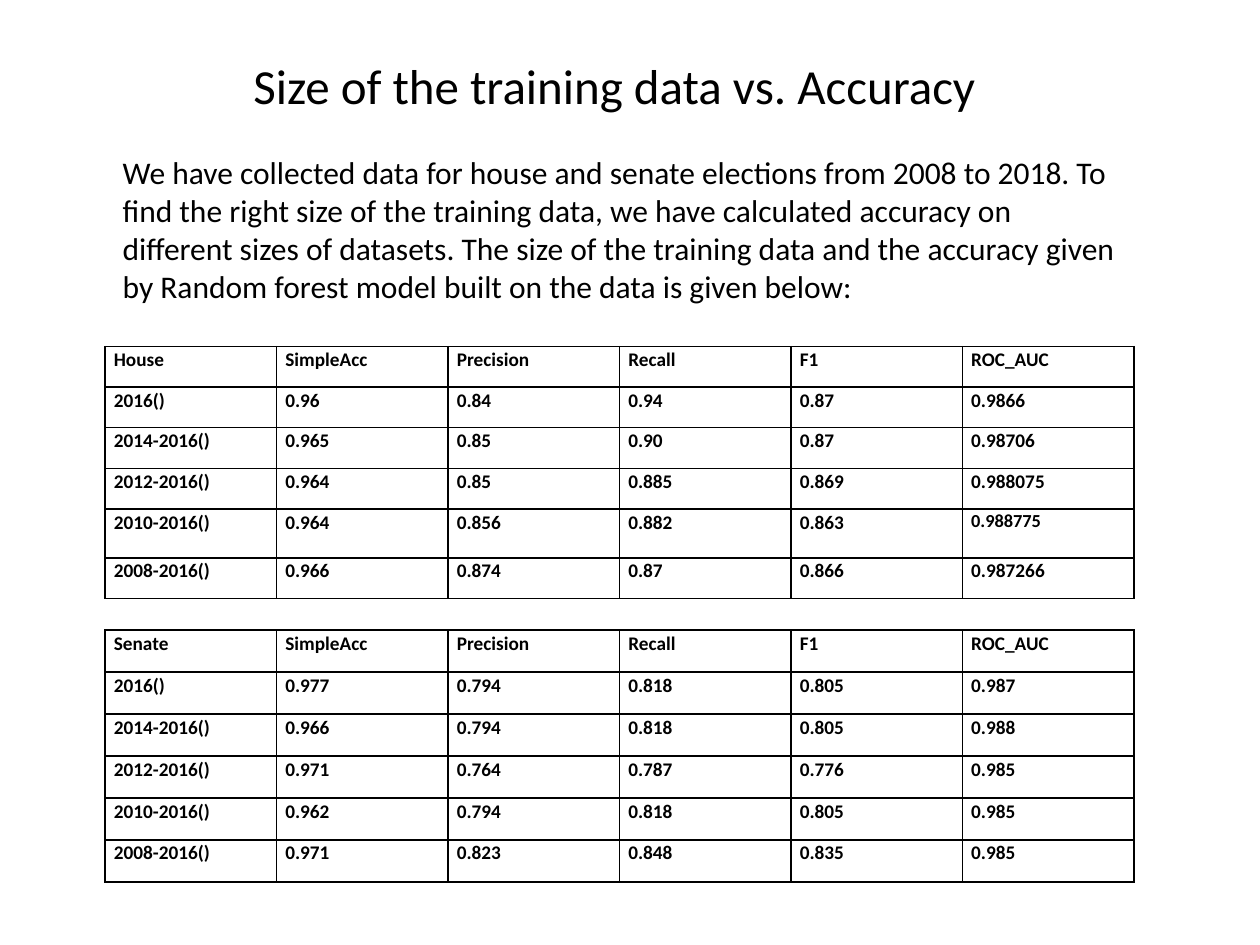
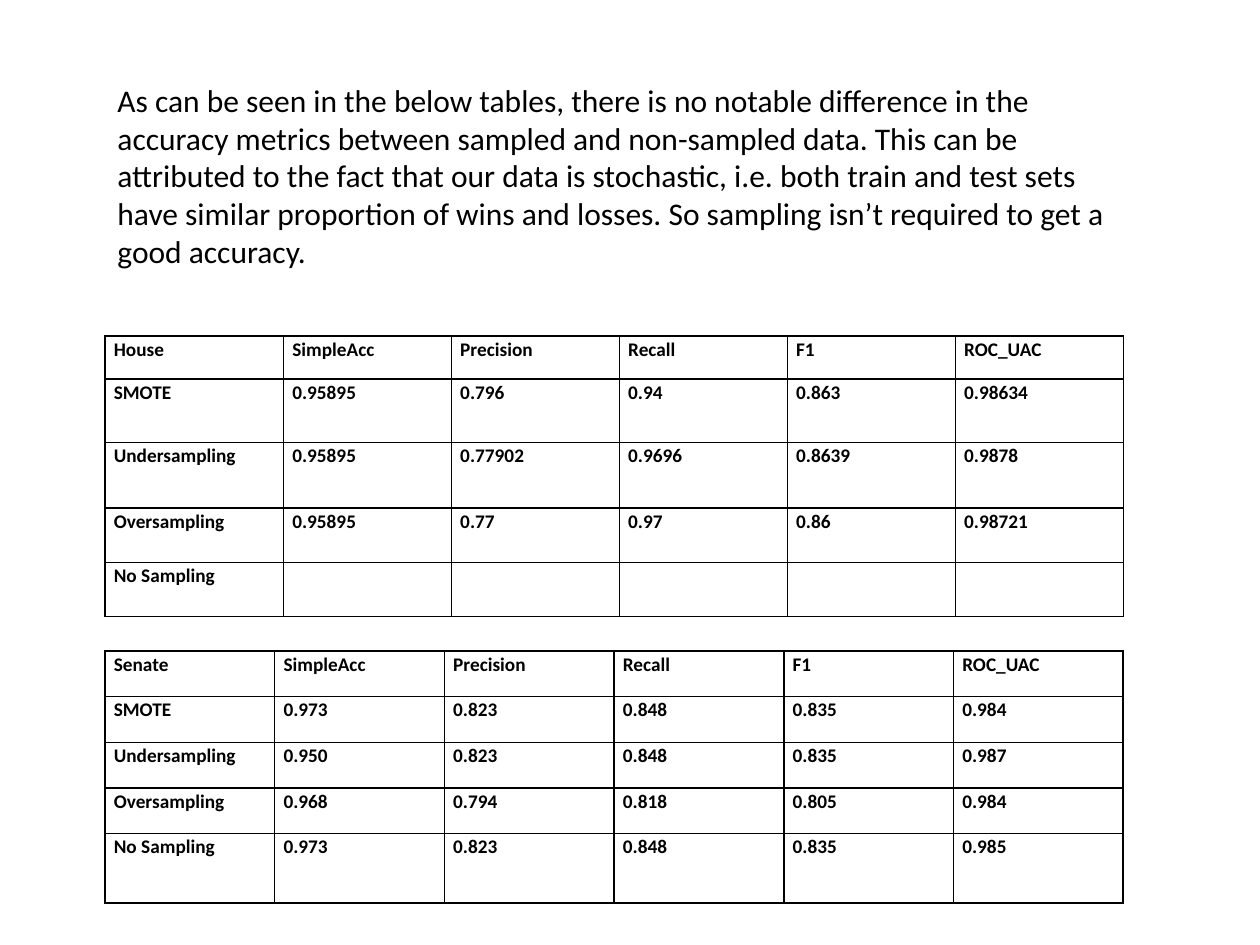
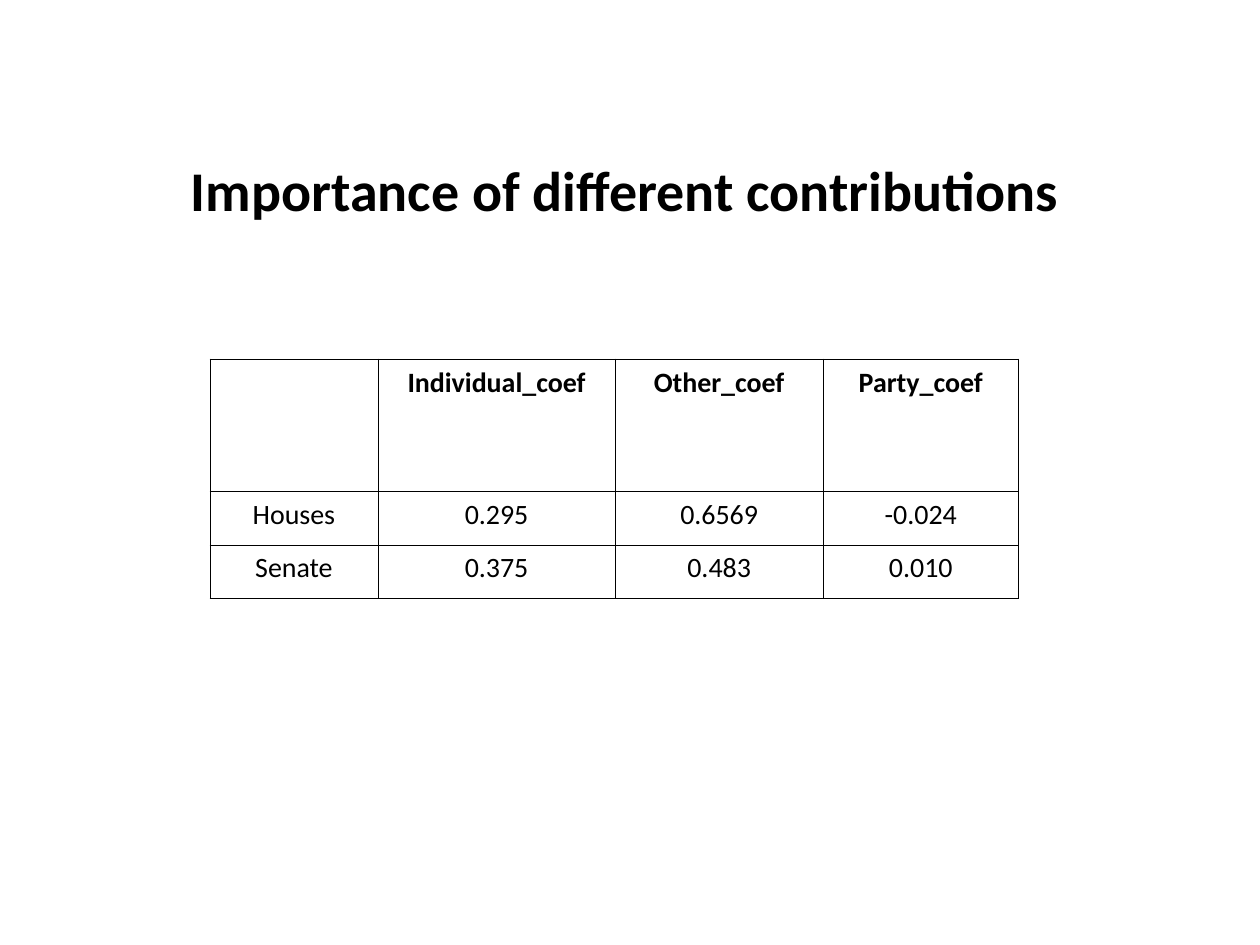
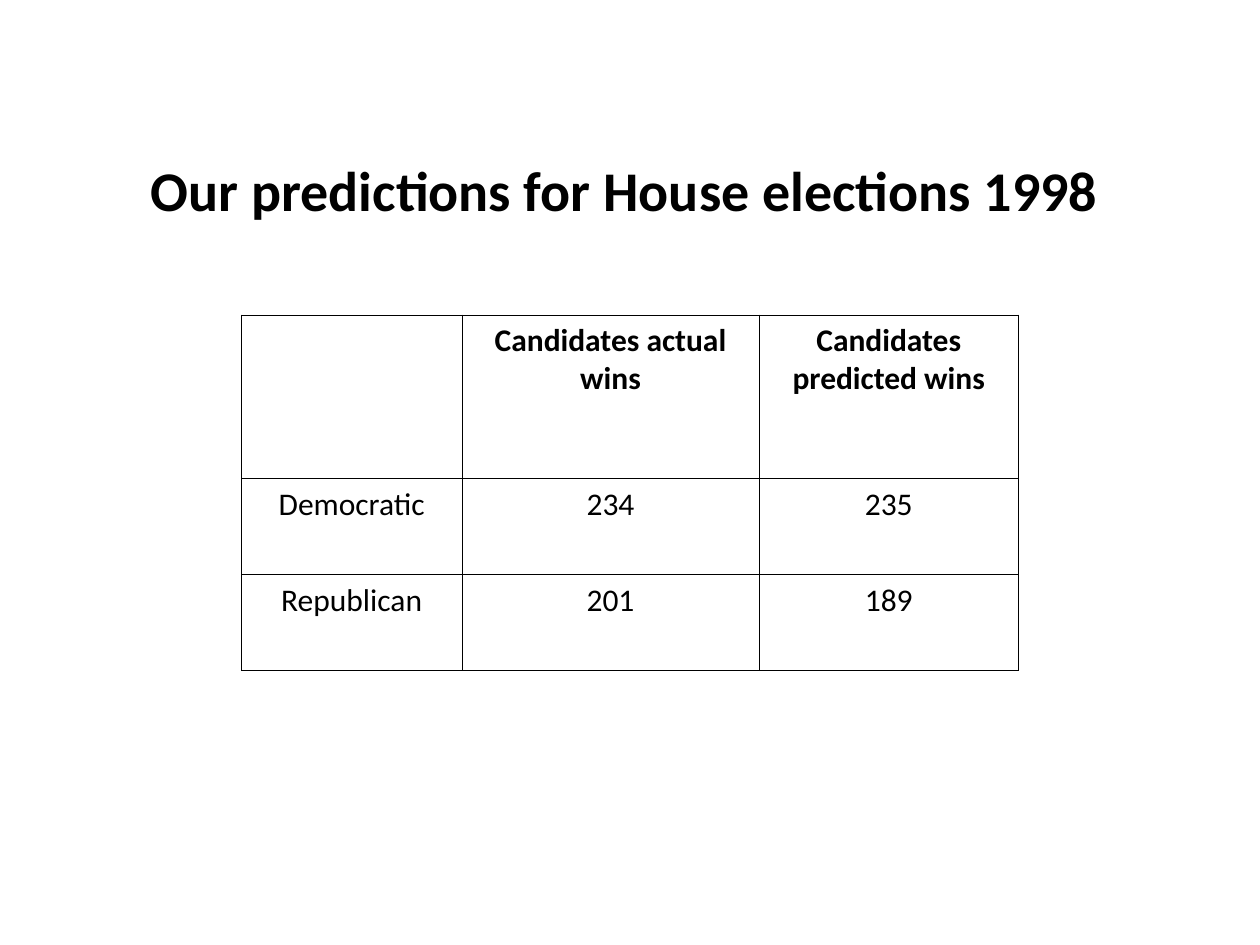
"""Election model results: four slides of text and tables."""
from dataclasses import dataclass

from lxml import etree
from pptx import Presentation
from pptx import util as u
from pptx.dml.color import RGBColor
from pptx.enum import text
from pptx.oxml import ns


@dataclass(frozen=True)
class Theme:
    """Colours, type sizes and the slide grid."""
    font: str = "Calibri"
    ink: str = "000000"
    title: float = 28
    headline: float = 32
    body: float = 18
    coefficient: float = 16
    metric: float = 11
    small_metric: float = 10.5
    width: float = 10
    height: float = 7.5
    columns: int = 120
    rows: int = 90


THEME = Theme()
METRIC_PARA = {"line_spacing": 1.07, "space_after": u.Pt(8)}
METRIC_CELL = {"margin_left": u.Inches(0.07), "margin_right": u.Inches(0.07),
               "margin_top": 0, "margin_bottom": 0}
CENTRED_PARA = {"alignment": text.PP_ALIGN.CENTER}
CENTRED_CELL = {**METRIC_CELL, "margin_top": u.Inches(0.05), "margin_bottom": u.Inches(0.05)}


def apply(target, values):
    """Set each named attribute of the target."""
    for name, value in values.items():
        setattr(target, name, value)


def split_rows(block):
    """Split a block of comma-separated lines into rows of cells."""
    return [line.strip().split(",") for line in block.strip().splitlines()]


class Deck:
    """Holds the theme and the current slide, and draws elements on it."""

    def __init__(self, theme):
        """Start an empty presentation of the theme's size."""
        self.theme = theme
        self.deck = Presentation()
        self.deck.slide_width = u.Inches(theme.width)
        self.deck.slide_height = u.Inches(theme.height)
        self.slide = None

    def across(self, columns):
        """Turn grid columns into a length."""
        return u.Inches(columns * self.theme.width / self.theme.columns)

    def down(self, rows):
        """Turn grid rows into a length."""
        return u.Inches(rows * self.theme.height / self.theme.rows)

    def area(self, left, top, width, height):
        """Turn a grid area into left, top, width and height."""
        return self.across(left), self.down(top), self.across(width), self.down(height)

    def page(self, layout):
        """Add a slide with the named layout."""
        self.slide = self.deck.slides.add_slide(self.deck.slide_layouts.get_by_name(layout))

    def put_text(self, frame, words, size, bold=False, para_format=None):
        """Put one formatted paragraph into a text frame."""
        para = frame.paragraphs[0]
        apply(para, para_format or {})
        span = para.add_run()
        span.text = words
        apply(span.font, {"name": self.theme.font, "size": u.Pt(size), "bold": bold})
        span.font.color.rgb = RGBColor.from_string(self.theme.ink)

    def title(self, words, area, size, bold=False, wrap=True):
        """Move and fill the title placeholder."""
        box = self.slide.shapes.title
        apply(box, dict(zip(("left", "top", "width", "height"), self.area(*area))))
        apply(box.text_frame, {"word_wrap": wrap, "vertical_anchor": text.MSO_ANCHOR.TOP,
                               "auto_size": text.MSO_AUTO_SIZE.SHAPE_TO_FIT_TEXT})
        self.put_text(box.text_frame, words, size, bold, CENTRED_PARA)

    def headline(self, words, left, width):
        """Fill the title as a large bold line."""
        self.title(words, (left, 14.2, width, 7.7), self.theme.headline, True, False)

    def body(self, words, area, anchor=text.MSO_ANCHOR.TOP):
        """Add a wrapped paragraph of body text."""
        frame = self.slide.shapes.add_textbox(*self.area(*area)).text_frame
        apply(frame, {"word_wrap": True, "vertical_anchor": anchor,
                      "auto_size": text.MSO_AUTO_SIZE.SHAPE_TO_FIT_TEXT})
        self.put_text(frame, words, self.theme.body)

    def border(self, cell, points):
        """Draw all four borders of a cell."""
        properties = cell._tc.get_or_add_tcPr()
        for side in ("lnL", "lnR", "lnT", "lnB"):
            line = etree.SubElement(properties, ns.qn(f"a:{side}"), w=str(u.Pt(points)))
            fill = etree.SubElement(line, ns.qn("a:solidFill"))
            etree.SubElement(fill, ns.qn("a:srgbClr"), val=self.theme.ink)

    def table(self, rows, left, top, widths, heights, size, line, cell_format, para_format,
              bold_body):
        """Add a ruled table with a bold first row and return it."""
        area = self.area(left, top, sum(widths), sum(heights))
        table = self.slide.shapes.add_table(len(rows), len(widths), *area).table
        apply(table, {"first_row": False, "horz_banding": False})
        for column, width in zip(table.columns, widths):
            column.width = self.across(width)
        for row, height in zip(table.rows, heights):
            row.height = self.down(height)
        for y, values in enumerate(rows):
            for x, words in enumerate(values):
                cell = table.cell(y, x)
                apply(cell, cell_format)
                self.border(cell, line)
                cell.fill.background()
                if words:
                    self.put_text(cell.text_frame, words, size, bold_body or y == 0, para_format)
        return table

    def metrics(self, block, top, widths, heights):
        """Add a table of bold, left-aligned accuracy metrics."""
        return self.table(split_rows(block), 10, top, widths, heights, self.theme.metric, 1,
                          METRIC_CELL, METRIC_PARA, True)

    def summary(self, block, left, top, widths, heights, size):
        """Add a centred table with plain body rows."""
        return self.table(split_rows(block), left, top, widths, heights, size, 0.5,
                          CENTRED_CELL, CENTRED_PARA, False)


HOUSE_BY_YEARS = """
House,SimpleAcc,Precision,Recall,F1,ROC_AUC
2016(),0.96,0.84,0.94,0.87,0.9866
2014-2016(),0.965,0.85,0.90,0.87,0.98706
2012-2016(),0.964,0.85,0.885,0.869,0.988075
2010-2016(),0.964,0.856,0.882,0.863,
2008-2016(),0.966,0.874,0.87,0.866,0.987266
"""
SENATE_BY_YEARS = """
Senate,SimpleAcc,Precision,Recall,F1,ROC_AUC
2016(),0.977,0.794,0.818,0.805,0.987
2014-2016(),0.966,0.794,0.818,0.805,0.988
2012-2016(),0.971,0.764,0.787,0.776,0.985
2010-2016(),0.962,0.794,0.818,0.805,0.985
2008-2016(),0.971,0.823,0.848,0.835,0.985
"""
HOUSE_BY_SAMPLING = """
House,SimpleAcc,Precision,Recall,F1,ROC_UAC
SMOTE,0.95895,0.796,0.94,0.863,0.98634
Undersampling,0.95895,0.77902,0.9696,0.8639,0.9878
Oversampling,0.95895,0.77,0.97,0.86,0.98721
No Sampling,,,,,
"""
SENATE_BY_SAMPLING = """
Senate,SimpleAcc,Precision,Recall,F1,ROC_UAC
SMOTE,0.973,0.823,0.848,0.835,0.984
Undersampling,0.950,0.823,0.848,0.835,0.987
Oversampling,0.968,0.794,0.818,0.805,0.984
No Sampling,0.973,0.823,0.848,0.835,0.985
"""
COEFFICIENTS = """
,Individual_coef,Other_coef,Party_coef
Houses,0.295,0.6569,-0.024
Senate,0.375,0.483,0.010
"""
PREDICTIONS = """
,Candidates actual wins,Candidates predicted wins
Democratic,234,235
Republican,201,189
"""


def training_size(deck):
    """Compare accuracy across training periods."""
    deck.page("Title Only")
    deck.title("Size of the training data vs. Accuracy", (21, 4.7, 75, 6.9), THEME.title)
    deck.body("We have collected data for house and senate elections from 2008 to 2018. To find "
              "the right size of the training data, we have calculated accuracy on different "
              "sizes of datasets. The size of the training data and the accuracy given by Random "
              "forest model built on the data is given below:", (10.5, 14, 98, 15.75))
    widths = [98 / 6] * 6
    house = deck.metrics(HOUSE_BY_YEARS, 33, widths, [3.87] * 4 + [4.65, 3.87])
    deck.put_text(house.cell(4, 5).text_frame, "0.988775", THEME.small_metric, True,
                  {"line_spacing": 1.07})
    deck.metrics(SENATE_BY_YEARS, 60, widths, [4] * 6)


def sampling(deck):
    """Compare accuracy across sampling methods."""
    deck.page("Blank")
    deck.body("As can be seen in the below tables, there is no notable difference in the accuracy "
              "metrics between sampled and non-sampled data. This can be attributed to the fact "
              "that our data is stochastic, i.e. both train and test sets have similar proportion "
              "of wins and losses. So sampling isn’t required to get a good accuracy.",
              (10, 7, 98, 19.4), text.MSO_ANCHOR.MIDDLE)
    deck.metrics(HOUSE_BY_SAMPLING, 32, [17] + [16] * 5, [4.1, 6.05, 6.25, 5.17, 5.17])
    deck.metrics(SENATE_BY_SAMPLING, 62, [97 / 6] * 6, [4.35] * 4 + [6.6])


def contributions(deck):
    """Show the coefficient of each kind of contribution."""
    deck.page("Title Only")
    deck.headline("Importance of different contributions", 16.5, 86)
    deck.summary(COEFFICIENTS, 20, 34.2, [16, 22.6, 19.8, 18.6], [12.6, 5.1, 5.1],
                 THEME.coefficient)


def predictions(deck):
    """Show actual and predicted wins by party."""
    deck.page("Title Only")
    deck.headline("Our predictions for House elections 1998", 12.7, 93.6)
    deck.summary(PREDICTIONS, 23, 30, [21, 28.3, 24.7], [15.6, 9.15, 9.15], THEME.body)


def main():
    """Build the slides and save them."""
    deck = Deck(THEME)
    for build in (training_size, sampling, contributions, predictions):
        build(deck)
    deck.deck.save("out.pptx")


if __name__ == "__main__":
    main()
